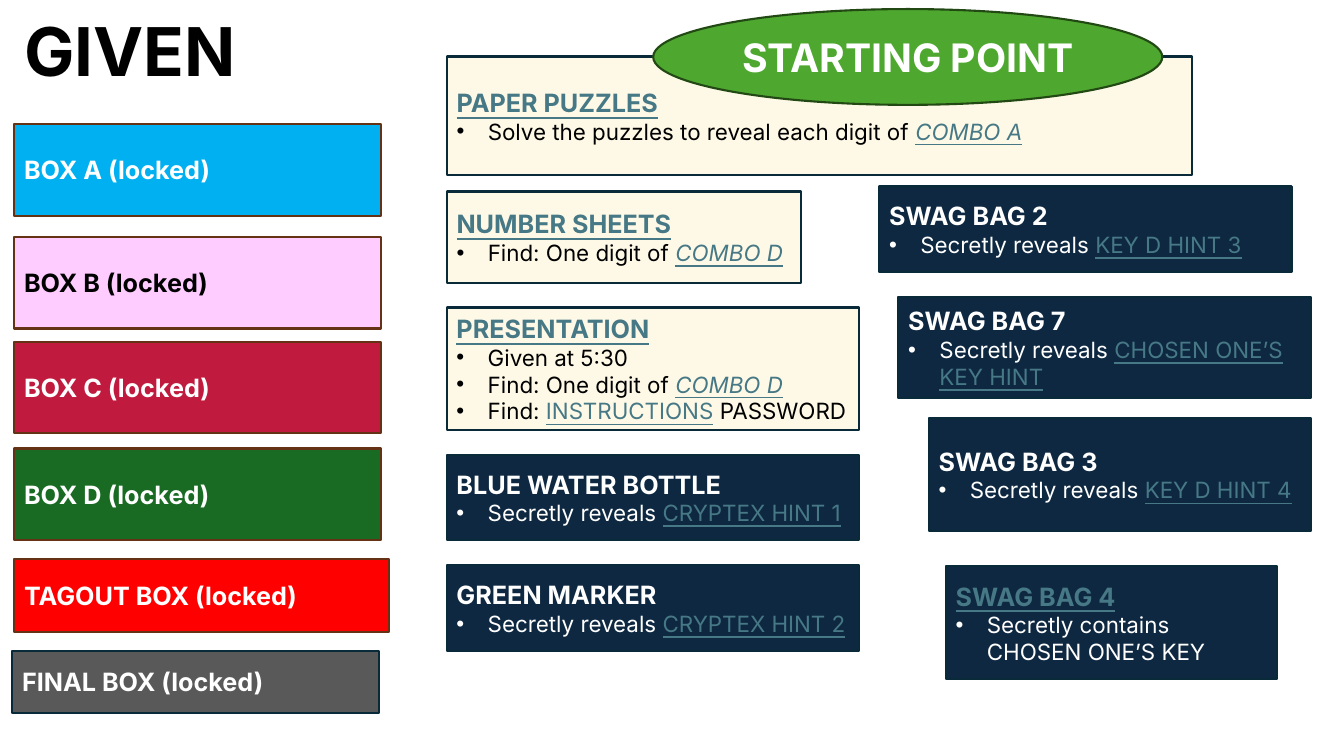
from dataclasses import dataclass

from pptx import Presentation
from pptx import util as u
from pptx.dml.color import RGBColor
from pptx.enum import shapes, text
from pptx.oxml.ns import qn
from lxml import etree

WIDTH, HEIGHT = u.Inches(13.33), u.Inches(7.5)
FONT = "Inter"
WHITE, BLACK, LINK = "FFFFFF", "000000", "467886"
CREAM, NAVY, BROWN, TEAL = "FEF9E6", "0E2841", "663216", "092A39"
INDENT = u.Inches(0.31)
LEFT, MIDDLE = 1.05, 33.23
BOX_W, CARD_W = 27.3, 30.68
BOX_H, CARD_H, TALL_H = 12.13, 11.33, 14.93


@dataclass
class Area:
    """Place and size in percent of the slide's width and height."""
    x: float
    y: float
    w: float
    h: float

    def emu(self) -> tuple[int, int, int, int]:
        return (round(WIDTH * self.x / 100), round(HEIGHT * self.y / 100),
                round(WIDTH * self.w / 100), round(HEIGHT * self.h / 100))


@dataclass
class Card:
    """A filled block with a heading and bullets, where |bars| enclose links."""
    area: Area
    title: str
    bullets: tuple[str, ...] = ()
    fill: str = NAVY
    line: str = TEAL
    color: str = WHITE


BOXES = [
    Card(Area(LEFT, 16.4, BOX_W, BOX_H), "BOX A (locked)", fill="00B0F0", line=BROWN),
    Card(Area(LEFT, 31.33, BOX_W, BOX_H), "BOX B (locked)", fill="FFCCFF", line=BROWN, color=BLACK),
    Card(Area(LEFT, 45.2, BOX_W, BOX_H), "BOX C (locked)", fill="C01A3E", line=BROWN),
    Card(Area(LEFT, 59.33, BOX_W, BOX_H), "BOX D (locked)", fill="196B24", line=BROWN),
    Card(Area(LEFT, 74, 27.9, 9.6), "TAGOUT BOX (locked)", fill="FF0000", line=BROWN),
    Card(Area(0.9, 86.13, BOX_W, 8.13), "FINAL BOX (locked)", fill="595959"),
]

PUZZLES = [
    Card(Area(MIDDLE, 7.47, 55.44, 15.73), "|PAPER PUZZLES|",
         ("Solve the puzzles to reveal each digit of |COMBO A|",), CREAM, color=BLACK),
    Card(Area(MIDDLE, 25.33, 26.4, BOX_H), "|NUMBER SHEETS|",
         ("Find: One digit of |COMBO D|",), CREAM, color=BLACK),
    Card(Area(MIDDLE, 40.67, CARD_W, 16.27), "|PRESENTATION|",
         ("Given at 5:30", "Find: One digit of |COMBO D|", "Find: |INSTRUCTIONS| PASSWORD"),
         CREAM, color=BLACK),
]

SECRETS = [
    Card(Area(MIDDLE, 60.13, CARD_W, CARD_H), "BLUE WATER BOTTLE",
         ("Secretly reveals |CRYPTEX HINT 1|",)),
    Card(Area(MIDDLE, 74.8, CARD_W, CARD_H), "GREEN MARKER",
         ("Secretly reveals |CRYPTEX HINT 2|",)),
    Card(Area(65.42, 24.67, CARD_W, CARD_H), "SWAG BAG 2",
         ("Secretly reveals |KEY D HINT 3|",)),
    Card(Area(66.84, 39.33, CARD_W, 13.33), "SWAG BAG 7",
         ("Secretly reveals |CHOSEN ONE’S KEY HINT|",)),
    Card(Area(69.1, 55.33, 28.43, TALL_H), "SWAG BAG 3",
         ("Secretly reveals |KEY D HINT 4|",)),
    Card(Area(70.37, 74.93, 24.68, TALL_H), "|SWAG BAG 4|",
         ("Secretly contains CHOSEN ONE’S KEY",)),
]


def rgb(value: str) -> RGBColor:
    """Turn a hex string into a colour."""
    return RGBColor.from_string(value)


def write(p, content: str, *, size: float, color: str, bold: bool = False) -> None:
    """Add runs to a paragraph, styling the parts between bars as links."""
    for i, part in enumerate(content.split("|")):
        if not part:
            continue
        linked = i % 2 == 1
        r = p.add_run()
        r.text = part
        r.font.name = FONT
        r.font.size = u.Pt(size)
        r.font.bold = bold
        r.font.underline = linked
        r.font.italic = linked and part.startswith("COMBO")
        r.font.color.rgb = rgb(LINK if linked else color)


def add_bullet(p) -> None:
    """Give a paragraph a hanging bullet."""
    props = p._p.get_or_add_pPr()
    props.set("marL", str(INDENT))
    props.set("indent", str(-INDENT))
    etree.SubElement(props, qn("a:buFont")).set("typeface", "Arial")
    etree.SubElement(props, qn("a:buChar")).set("char", "•")


def add_block(s, kind, area: Area, fill: str, line: str):
    """Draw an outlined shape and return its text frame."""
    sp = s.shapes.add_shape(kind, *area.emu())
    sp.shadow.inherit = False
    sp.fill.solid()
    sp.fill.fore_color.rgb = rgb(fill)
    sp.line.color.rgb = rgb(line)
    sp.line.width = u.Pt(1.5)
    tf = sp.text_frame
    tf.word_wrap = True
    tf.vertical_anchor = text.MSO_ANCHOR.MIDDLE
    return tf


def add_card(s, card: Card) -> None:
    """Draw a card with its heading and bullets."""
    tf = add_block(s, shapes.MSO_SHAPE.RECTANGLE, card.area, card.fill, card.line)
    p = tf.paragraphs[0]
    p.alignment = text.PP_ALIGN.LEFT
    write(p, card.title, size=18, color=card.color, bold=True)
    for bullet in card.bullets:
        p = tf.add_paragraph()
        p.alignment = text.PP_ALIGN.LEFT
        add_bullet(p)
        write(p, bullet, size=16, color=card.color)


def main() -> None:
    """Build the slide and save it."""
    prs = Presentation()
    prs.slide_width, prs.slide_height = WIDTH, HEIGHT
    s = prs.slides.add_slide(prs.slide_layouts[6])

    tf = s.shapes.add_textbox(*Area(LEFT, 0.53, 20.93, BOX_H).emu()).text_frame
    tf.word_wrap = True
    write(tf.paragraphs[0], "GIVEN", size=48, color=BLACK, bold=True)

    for card in BOXES + PUZZLES + SECRETS:
        add_card(s, card)

    tf = add_block(s, shapes.MSO_SHAPE.OVAL, Area(48.6, 1.2, 37.88, 12.67), "4EA72E", "224914")
    p = tf.paragraphs[0]
    p.alignment = text.PP_ALIGN.CENTER
    write(p, "STARTING POINT", size=28, color=WHITE, bold=True)

    prs.save("out.pptx")


if __name__ == "__main__":
    main()
